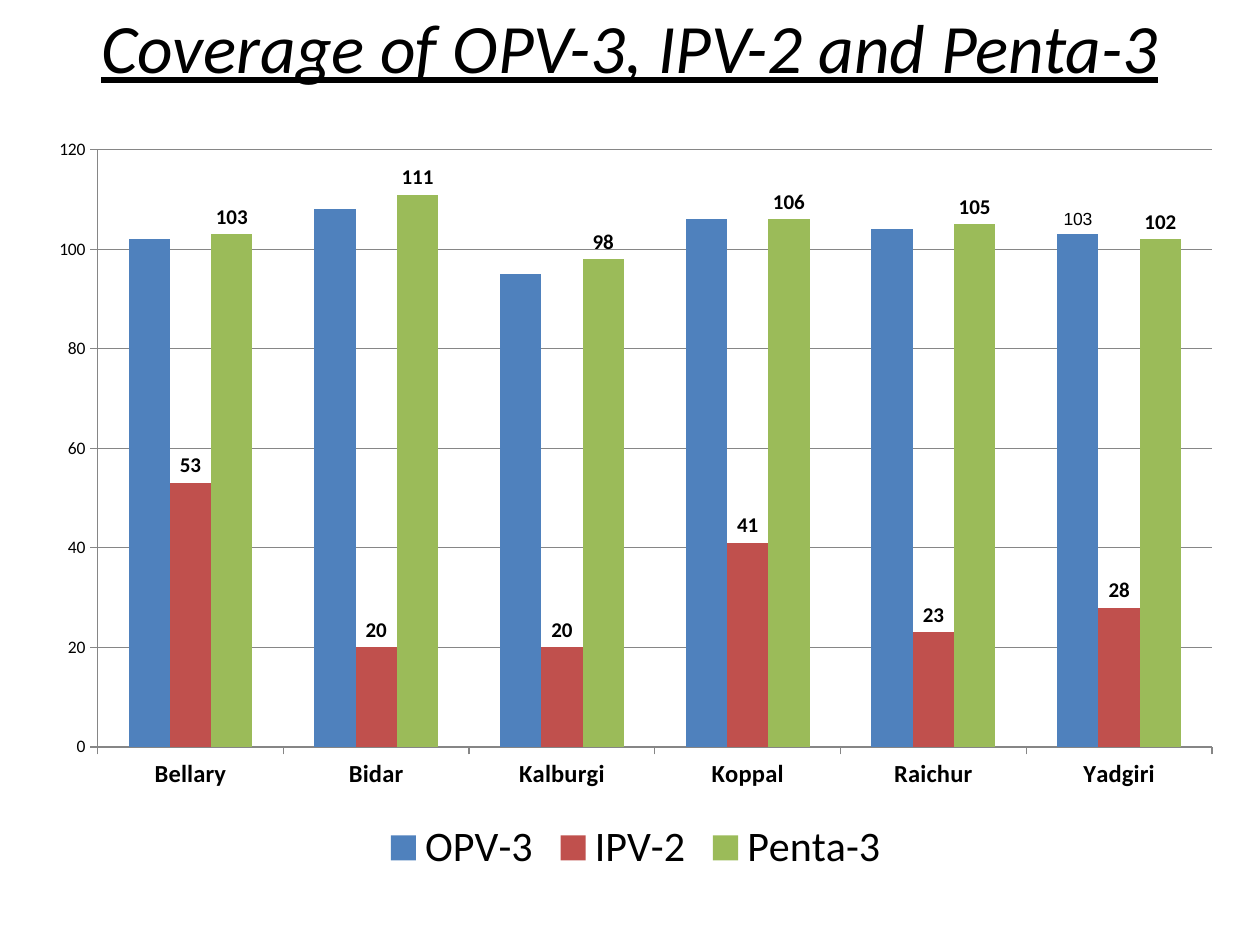
from pptx import Presentation
from pptx.chart.data import CategoryChartData
from pptx.dml.color import RGBColor
from pptx.enum.chart import XL_CHART_TYPE, XL_LABEL_POSITION, XL_LEGEND_POSITION, XL_TICK_MARK
from pptx.enum.text import MSO_ANCHOR, PP_ALIGN
from pptx.util import Inches, Pt

COLUMNS = XL_CHART_TYPE.COLUMN_CLUSTERED
OUTSIDE_END = XL_LABEL_POSITION.OUTSIDE_END
LEGEND_BOTTOM = XL_LEGEND_POSITION.BOTTOM
TICK_OUTSIDE = XL_TICK_MARK.OUTSIDE
TICK_NONE = XL_TICK_MARK.NONE
MIDDLE = MSO_ANCHOR.MIDDLE
CENTER = PP_ALIGN.CENTER

BLACK = RGBColor(0x00, 0x00, 0x00)
GRAY = RGBColor(0x86, 0x86, 0x86)
BLUE = RGBColor(0x4F, 0x81, 0xBD)
RED = RGBColor(0xC0, 0x50, 0x4D)
GREEN = RGBColor(0x9B, 0xBB, 0x59)
FONT = "Calibri"

DISTRICTS = ["Bellary", "Bidar", "Kalburgi", "Koppal", "Raichur", "Yadgiri"]
COVERAGE = [
    ("OPV-3", [102, 108, 95, 106, 104, 103], BLUE),
    ("IPV-2", [53, 20, 20, 41, 23, 28], RED),
    ("Penta-3", [103, 111, 98, 106, 105, 102], GREEN),
]


def set_font(font, size, bold=False):
    font.name = FONT
    font.size = Pt(size)
    font.bold = bold
    font.color.rgb = BLACK


def place_title(slide, left, top, width, height):
    title = slide.shapes.title
    title.left, title.top, title.width, title.height = left, top, width, height
    frame = title.text_frame
    frame.text = "Coverage of OPV-3, IPV-2 and Penta-3"
    frame.vertical_anchor = MIDDLE
    frame.word_wrap = True
    paragraph = frame.paragraphs[0]
    paragraph.alignment = CENTER
    set_font(paragraph.font, 39.6)
    paragraph.font.italic = True
    paragraph.font.underline = True


def format_axes(chart):
    for axis in (chart.category_axis, chart.value_axis):
        axis.major_tick_mark = TICK_OUTSIDE
        axis.minor_tick_mark = TICK_NONE
        axis.format.line.color.rgb = GRAY
    set_font(chart.category_axis.tick_labels.font, 14, bold=True)

    value_axis = chart.value_axis
    value_axis.minimum_scale = 0
    value_axis.maximum_scale = 120
    value_axis.major_unit = 20
    value_axis.major_gridlines.format.line.color.rgb = GRAY
    set_font(value_axis.tick_labels.font, 10)
    value_axis.tick_labels.number_format = "0"
    value_axis.tick_labels.number_format_is_linked = False


def label_series(series):
    labels = series.data_labels
    labels.show_value = True
    labels.position = OUTSIDE_END
    labels.number_format = "0"
    labels.number_format_is_linked = False
    set_font(labels.font, 12, bold=True)


def label_last_point(series):
    series.data_labels.show_value = False
    label = series.points[len(DISTRICTS) - 1].data_label
    set_font(label.font, 10)
    label.font.name = "Arial"
    label.position = OUTSIDE_END


def place_coverage_chart(slide, left, top, width, height):
    data = CategoryChartData(number_format="0")
    data.categories = DISTRICTS
    for name, values, _ in COVERAGE:
        data.add_series(name, values)
    chart = slide.shapes.add_chart(COLUMNS, left, top, width, height, data).chart
    set_font(chart.font, 10)
    chart.has_title = False
    chart.has_legend = True
    chart.legend.position = LEGEND_BOTTOM
    chart.legend.include_in_layout = False
    set_font(chart.legend.font, 24)
    format_axes(chart)

    plot = chart.plots[0]
    plot.gap_width = 150
    plot.overlap = 0
    plot.vary_by_categories = False
    for series, (_, _, color) in zip(plot.series, COVERAGE):
        series.format.fill.solid()
        series.format.fill.fore_color.rgb = color
    opv, ipv, penta = plot.series
    label_last_point(opv)
    label_series(ipv)
    label_series(penta)


def main():
    presentation = Presentation()
    presentation.slide_width = Inches(10)
    presentation.slide_height = Inches(7.5)
    title_only = presentation.slide_layouts[5]
    slide = presentation.slides.add_slide(title_only)
    place_title(slide, Inches(0), Inches(-0.03), Inches(10), Inches(0.78))
    place_coverage_chart(slide, Inches(0.28), Inches(0.99), Inches(9.53), Inches(6.01))
    presentation.save("out.pptx")


if __name__ == "__main__":
    main()
